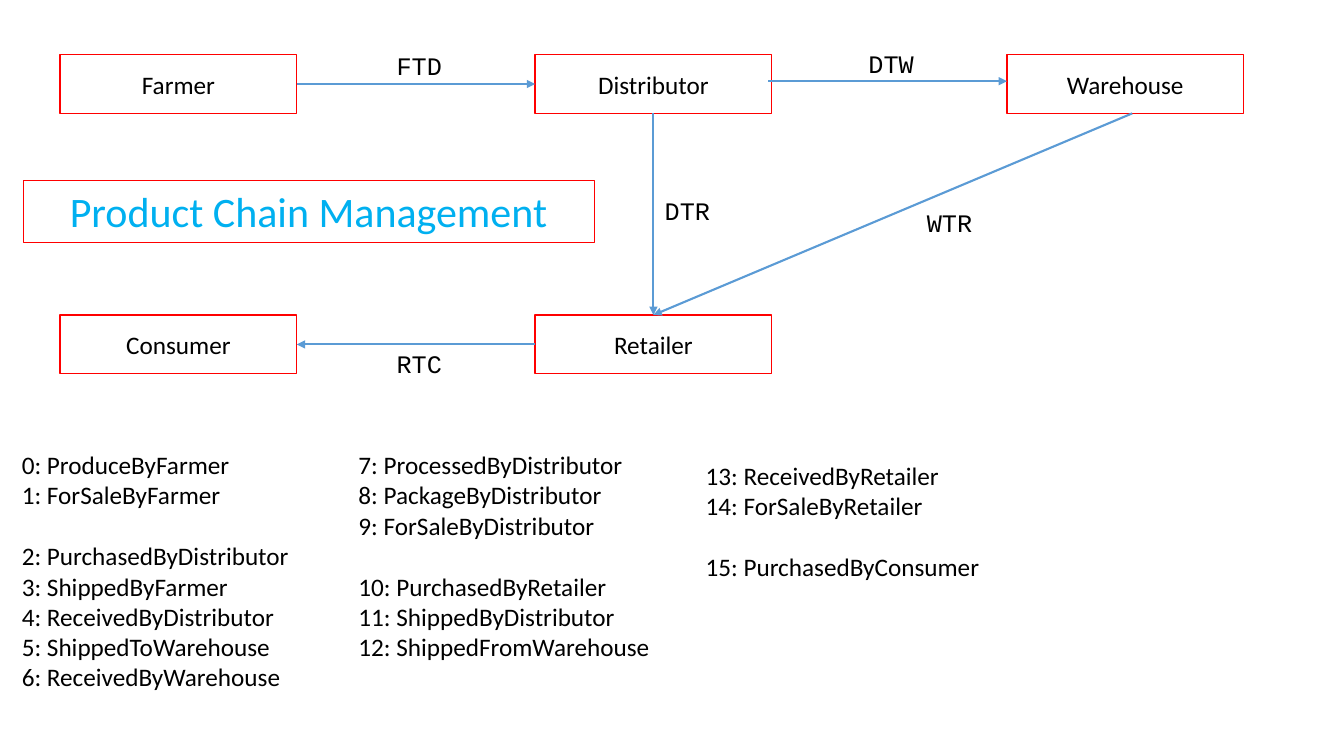
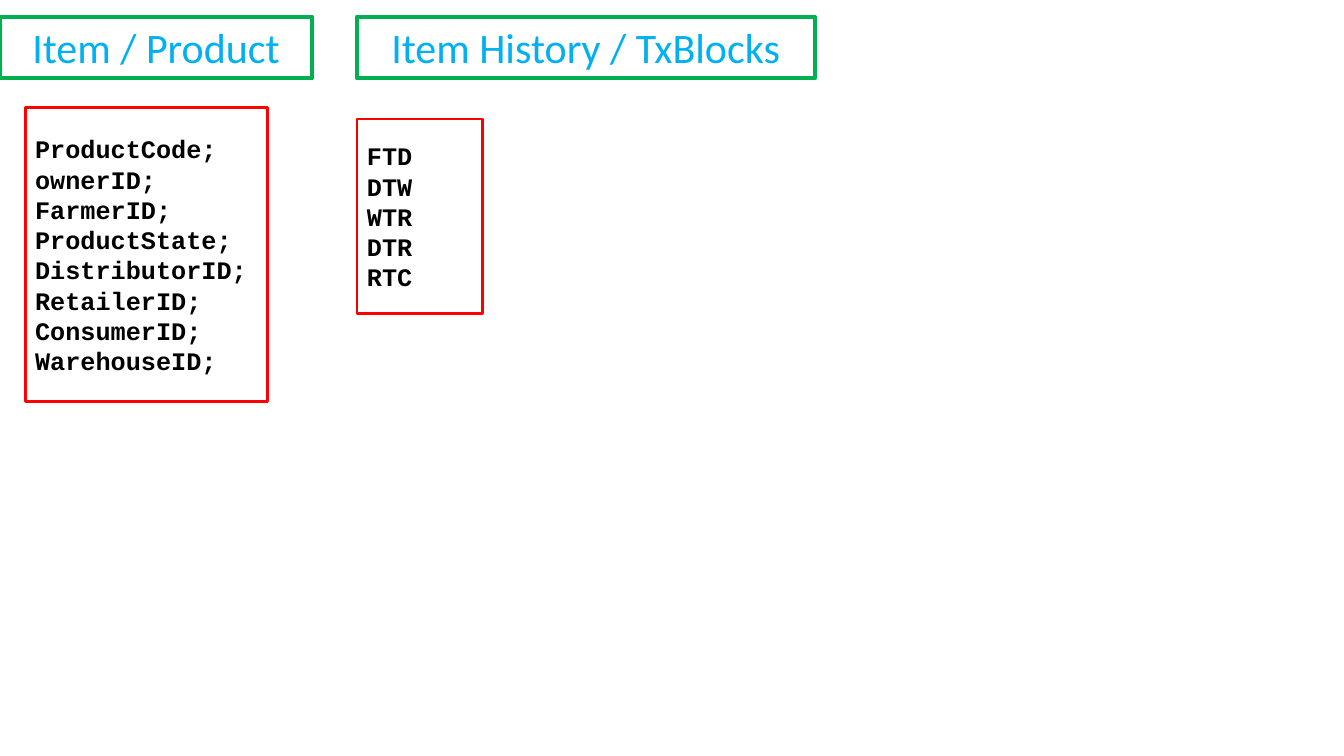
from pptx import Presentation
from pptx.dml.color import RGBColor
from pptx.enum.shapes import MSO_CONNECTOR as Link, MSO_SHAPE as Preset
from pptx.enum.text import MSO_ANCHOR as Anchor, MSO_AUTO_SIZE as Fit, PP_ALIGN as Align
from pptx.oxml.ns import qn
from pptx.util import Pt
from lxml import etree

# Shared look
COLORS = {"red": "FF0000", "green": "00B050", "sky": "00B0F0",
          "arrow": "5B9BD5", "ink": "000000"}
BODY = {"name": "Calibri", "size": Pt(18), "bold": False}
CODE = {"name": "Courier New", "size": Pt(18), "bold": False}
FIELD = {**CODE, "bold": True}
TITLE = {"name": "Calibri", "size": Pt(30), "bold": False}
TITLE_H, GROUP_GAP = 44, 22

# Slide 1: parties (column, row), transfers and product states
COLUMNS, ROWS = (43, 382.25, 719.25), (39, 225)
PARTY_W, PARTY_H = 169, 42
PARTIES = {"Farmer": (0, 0), "Distributor": (1, 0), "Consumer": (0, 1),
           "Retailer": (1, 1), "Warehouse": (2, 0)}
# code: (start party, side, nudge), (end party, side, nudge), label left and top
TRANSFERS = {
    "FTD": (("Farmer", "right", (0, 0)), ("Distributor", "left", (0, 0)), (214.5, 32.5)),
    "DTR": (("Distributor", "bottom", (0, 0)), ("Retailer", "top", (0, 0)), (406, 136)),
    "RTC": (("Retailer", "left", (0, 0)), ("Consumer", "right", (0, 0)), (214.5, 245.5)),
    "DTW": (("Distributor", "right", (-2.5, -2)), ("Warehouse", "left", (0, -2)), (551.5, 31)),
    "WTR": (("Warehouse", "bottom", (5, 0)), ("Retailer", "top", (0, 0)), (593.25, 144.5)),
}
LABEL_W, LABEL_H = 170, 29
CHAIN_TITLE = ("Product Chain Management", 16.5, 129, 408)
STATES = [
    ((8.5, 317.5, 237.5, 181.5), [
        ["0: ProduceByFarmer", "1: ForSaleByFarmer"],
        ["2: PurchasedByDistributor", "3: ShippedByFarmer", "4: ReceivedByDistributor",
         "5: ShippedToWarehouse", "6: ReceivedByWarehouse"]]),
    ((249, 317.5, 266.5, 160), [
        ["7: ProcessedByDistributor", "8: PackageByDistributor", "9: ForSaleByDistributor"],
        ["10: PurchasedByRetailer", "11: ShippedByDistributor", "12: ShippedFromWarehouse"]]),
    ((497, 325, 224, 94.5), [
        ["13: ReceivedByRetailer", "14: ForSaleByRetailer"],
        ["15: PurchasedByConsumer"]]),
]

# Slide 2: headings with their field lists
RECORDS = [
    (("Item / Product", 0, 12, 223), (18, 77, 173, 210),
     ["ProductCode;", "ownerID;", "FarmerID;", "ProductState;", "DistributorID;",
      "RetailerID;", "ConsumerID;", "WarehouseID;"]),
    (("Item History / TxBlocks", 255, 12, 327), (255, 85, 89.5, 139),
     ["FTD", "DTW", "WTR", "DTR", "RTC"]),
]


def rgb(name):
    return RGBColor.from_string(COLORS[name])


def write(holder, groups, style, color="ink", align=Align.LEFT,
          anchor=Anchor.TOP, fit=Fit.SHAPE_TO_FIT_TEXT):
    frame = holder.text_frame
    for key, value in {"word_wrap": True, "auto_size": fit,
                       "vertical_anchor": anchor}.items():
        setattr(frame, key, value)
    lines = [(text, g > 0 and i == 0)
             for g, group in enumerate(groups) for i, text in enumerate(group)]
    for n, (text, opens_group) in enumerate(lines):
        para = frame.add_paragraph() if n else frame.paragraphs[0]
        para.alignment = align
        if opens_group:
            para.space_before = Pt(GROUP_GAP)
        run = para.add_run()
        run.text = text
        for key, value in style.items():
            setattr(run.font, key, value)
        run.font.color.rgb = rgb(color)


def frame_box(slide, area, line, width):
    box = slide.shapes.add_shape(Preset.RECTANGLE, *map(Pt, area))
    box.shadow.inherit = False
    box.fill.background()
    box.line.color.rgb = rgb(line)
    box.line.width = Pt(width)
    return box


def plain_text(slide, area, groups, style, **layout):
    write(slide.shapes.add_textbox(*map(Pt, area)), groups, style, **layout)


def title(slide, heading, line, width):
    text, left, top, wide = heading
    box = frame_box(slide, (left, top, wide, TITLE_H), line, width)
    write(box, [[text]], TITLE, "sky", Align.CENTER)


def side_point(party, side, nudge):
    col, row = PARTIES[party]
    fx, fy = {"left": (0, 0.5), "right": (1, 0.5),
              "top": (0.5, 0), "bottom": (0.5, 1)}[side]
    return (COLUMNS[col] + fx * PARTY_W + nudge[0],
            ROWS[row] + fy * PARTY_H + nudge[1])


def arrow(slide, start, end):
    link = slide.shapes.add_connector(Link.STRAIGHT, *map(Pt, start + end))
    link.line.color.rgb = rgb("arrow")
    link.line.width = Pt(1.5)
    etree.SubElement(link.line._get_or_add_ln(), qn("a:tailEnd"), type="triangle")
    etree.SubElement(link._element.spPr, qn("a:effectLst"))


deck = Presentation()
deck.slide_width, deck.slide_height = Pt(960), Pt(540)
chain, records = (deck.slides.add_slide(deck.slide_layouts[6]) for _ in range(2))

# Product chain
for party, (col, row) in PARTIES.items():
    box = frame_box(chain, (COLUMNS[col], ROWS[row], PARTY_W, PARTY_H), "red", 1)
    write(box, [[party]], BODY, align=Align.CENTER, anchor=Anchor.MIDDLE, fit=Fit.NONE)
title(chain, CHAIN_TITLE, "red", 0.75)
for code, (start, end, corner) in TRANSFERS.items():
    arrow(chain, side_point(*start), side_point(*end))
    plain_text(chain, corner + (LABEL_W, LABEL_H), [[code]], CODE, align=Align.CENTER)
for area, groups in STATES:
    plain_text(chain, area, groups, BODY)

# Item records
for heading, area, fields in RECORDS:
    write(frame_box(records, area, "red", 2), [fields], FIELD,
          anchor=Anchor.MIDDLE, fit=Fit.NONE)
    title(records, heading, "green", 3)

deck.save("out.pptx")
